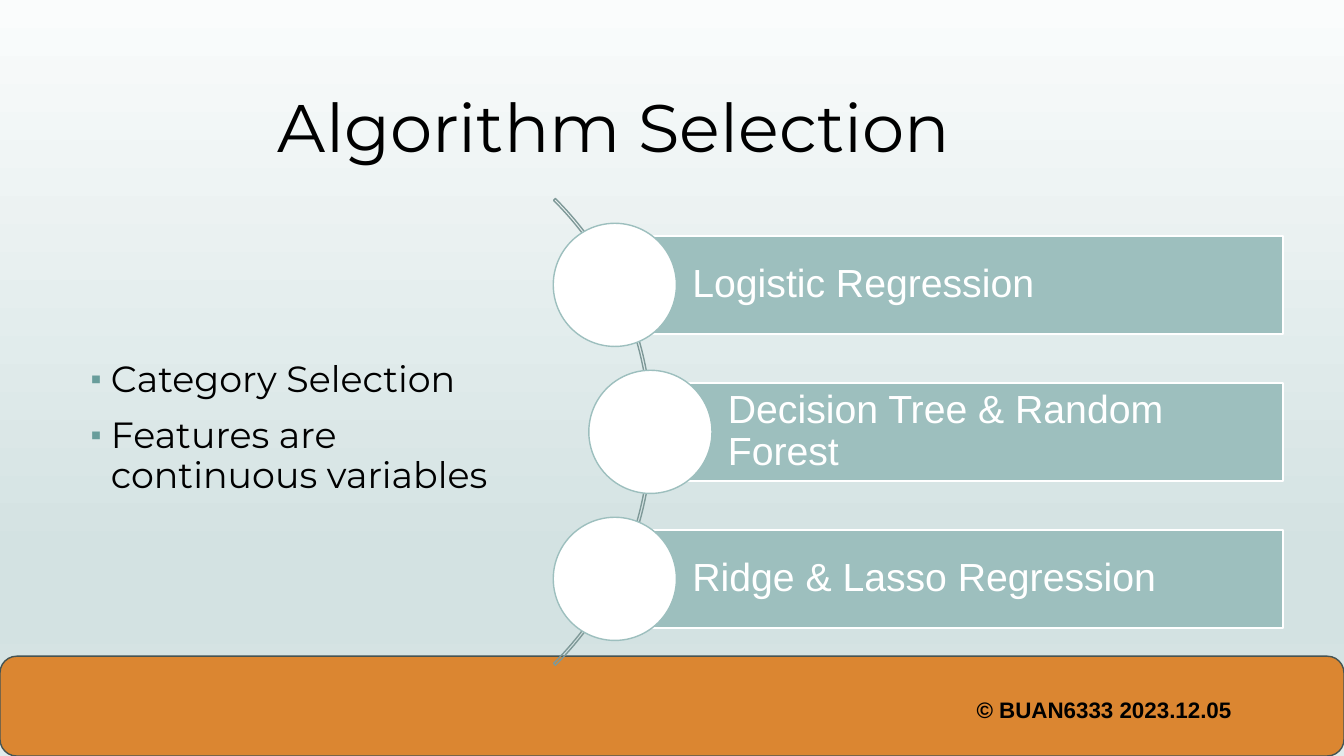
from lxml.etree import SubElement
from pptx import Presentation
from pptx.dml.color import RGBColor
from pptx.enum.shapes import MSO_SHAPE
from pptx.enum.text import MSO_ANCHOR, MSO_AUTO_SIZE, PP_ALIGN
from pptx.oxml.ns import qn
from pptx.util import Pt

TITLE = "Algorithm Selection"
POINTS = ["Category Selection", "Features are continuous variables"]
ALGORITHMS = [
    ("Logistic Regression", 439.2),
    ("Decision Tree & Random Forest", 464.6),
    ("Ridge & Lasso Regression", 439.2),
]
FOOTER = "© BUAN6333 2023.12.05"
BACKGROUND_STOPS = [(0, "FAFCFC"), (74, "D3E2E2"), (83, "D3E2E2"), (100, "E2ECEC")]

SLIDE_WIDTH, SLIDE_HEIGHT = 960, 540
CENTER_Y = 308.5
ROW_PITCH = 105
BAR_RIGHT, BAR_HEIGHT = 916.6, 70
CIRCLE_SIZE = 88
ARC_CENTER_X, ARC_SIZE = 230, 471.6


def color(value):
    return RGBColor.from_string(value)


def place(shape, left, top, width, height):
    shape.left, shape.top = Pt(left), Pt(top)
    shape.width, shape.height = Pt(width), Pt(height)


def set_margins(frame, left=7.2, top=3.6, right=7.2, bottom=3.6):
    frame.margin_left, frame.margin_top = Pt(left), Pt(top)
    frame.margin_right, frame.margin_bottom = Pt(right), Pt(bottom)


def write(paragraph, text, size, font="Arial", fill="000000", bold=False, spacing=0.9, before=0):
    paragraph.alignment = PP_ALIGN.LEFT
    paragraph.line_spacing = spacing
    paragraph.space_before = Pt(before)
    run = paragraph.add_run()
    run.text = text
    run.font.name = font
    run.font.size = Pt(size)
    run.font.bold = bold
    run.font.color.rgb = color(fill)


def add_bullet(paragraph):
    properties = paragraph._p.get_or_add_pPr()
    properties.set("marL", str(Pt(14.4)))
    properties.set("indent", str(-Pt(14.4)))
    bullet_color = SubElement(properties, qn("a:buClr"))
    SubElement(bullet_color, qn("a:srgbClr"), val="689D9B")
    SubElement(properties, qn("a:buSzPct"), val="85000")
    SubElement(properties, qn("a:buFont"), typeface="Arial")
    SubElement(properties, qn("a:buChar"), char="▪")


def add_shape(slide, kind, left, top, width, height, line, fill=None):
    shape = slide.shapes.add_shape(kind, Pt(left), Pt(top), Pt(width), Pt(height))
    shape.shadow.inherit = False
    if fill:
        shape.fill.solid()
        shape.fill.fore_color.rgb = color(fill)
    else:
        shape.fill.background()
    shape.line.color.rgb = color(line)
    shape.line.width = Pt(1)
    return shape


def paint_background(slide):
    fill = slide.background.fill
    fill.gradient()
    fill.gradient_angle = 270
    stops = slide.background._cSld.find(".//" + qn("a:gsLst"))
    for stop in list(stops):
        stops.remove(stop)
    for position, value in BACKGROUND_STOPS:
        stop = SubElement(stops, qn("a:gs"), pos=str(position * 1000))
        SubElement(stop, qn("a:srgbClr"), val=value)


def add_footer(slide):
    add_shape(slide, MSO_SHAPE.ROUNDED_RECTANGLE, 0, 468.7, SLIDE_WIDTH, 71.3, "455453", "DB8631")
    frame = slide.shapes.add_textbox(Pt(690.5), Pt(494), Pt(250.5), Pt(29)).text_frame
    frame.word_wrap = True
    write(frame.paragraphs[0], FOOTER, 16, bold=True, spacing=1.0)


def fill_placeholders(slide):
    title, body = slide.shapes.title, slide.placeholders[1]
    place(title, 65.5, 30.2, 828.7, 126.7)
    place(body, 57.6, 218.2, 332.6, 180)
    for shape, anchor in ((title, MSO_ANCHOR.MIDDLE), (body, MSO_ANCHOR.TOP)):
        shape.text_frame.auto_size = MSO_AUTO_SIZE.NONE
        shape.text_frame.vertical_anchor = anchor
    set_margins(title.text_frame, left=133)
    set_margins(body.text_frame, top=40)
    write(title.text_frame.paragraphs[0], TITLE, 48, font="Montserrat")
    for index, text in enumerate(POINTS):
        frame = body.text_frame
        paragraph = frame.add_paragraph() if index else frame.paragraphs[0]
        add_bullet(paragraph)
        write(paragraph, text, 26, font="Montserrat", before=12 if index else 0)


def add_algorithms(slide):
    arc = add_shape(slide, MSO_SHAPE.BLOCK_ARC, ARC_CENTER_X - ARC_SIZE / 2,
                    CENTER_Y - ARC_SIZE / 2, ARC_SIZE, ARC_SIZE, "7E9998")
    for index, value in enumerate((189, 27, 0.004)):
        arc.adjustments[index] = value
    for index, (text, left) in enumerate(ALGORITHMS):
        middle = CENTER_Y + (index - 1) * ROW_PITCH
        bar = add_shape(slide, MSO_SHAPE.RECTANGLE, left, middle - BAR_HEIGHT / 2,
                        BAR_RIGHT - left, BAR_HEIGHT, "FFFFFF", "9DBFBE")
        frame = bar.text_frame
        frame.word_wrap = True
        frame.vertical_anchor = MSO_ANCHOR.MIDDLE
        set_margins(frame, 55.4, 5.8, 5.8, 5.8)
        write(frame.paragraphs[0], text, 28, fill="FFFFFF")
        add_shape(slide, MSO_SHAPE.OVAL, left - CIRCLE_SIZE / 2, middle - CIRCLE_SIZE / 2,
                  CIRCLE_SIZE, CIRCLE_SIZE, "9DBFBE", "FFFFFF")


def main():
    presentation = Presentation()
    presentation.slide_width, presentation.slide_height = Pt(SLIDE_WIDTH), Pt(SLIDE_HEIGHT)
    slide = presentation.slides.add_slide(presentation.slide_layouts[1])
    paint_background(slide)
    add_footer(slide)
    fill_placeholders(slide)
    add_algorithms(slide)
    presentation.save("out.pptx")


if __name__ == "__main__":
    main()
